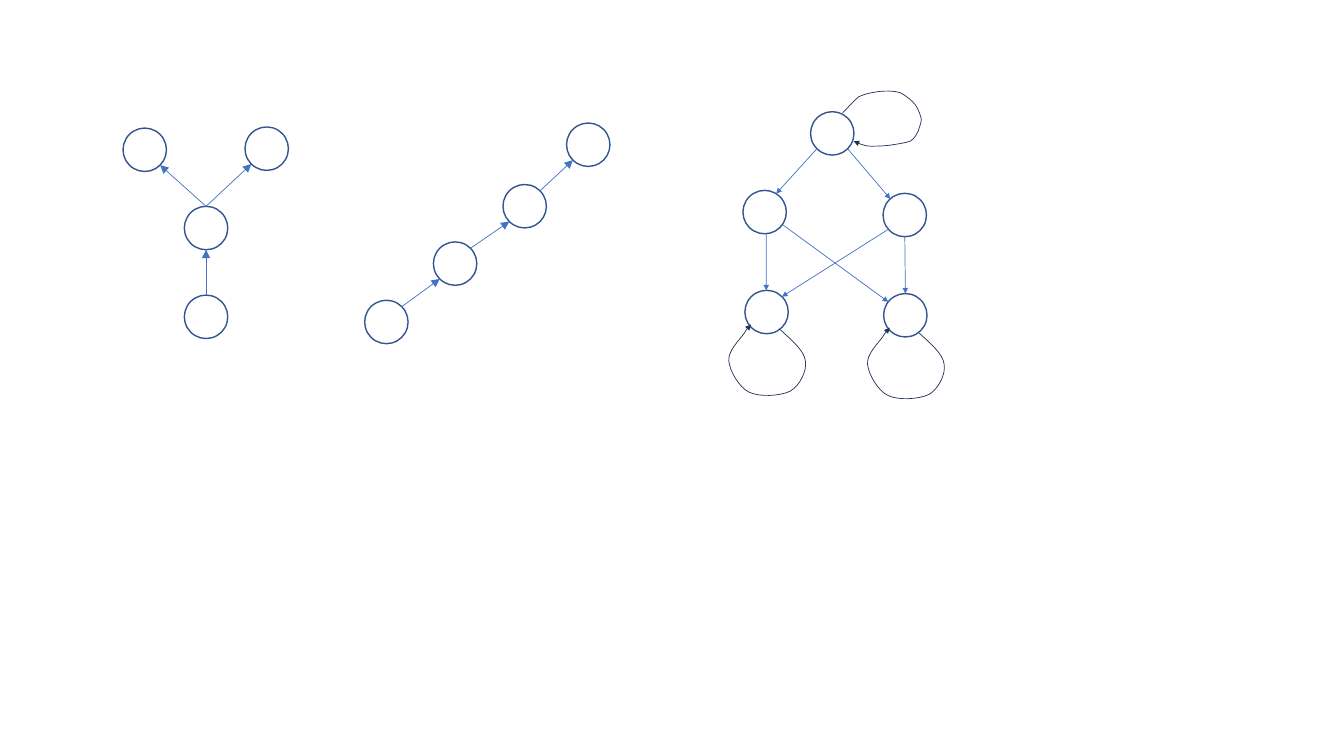
from dataclasses import dataclass
from math import cos, radians, sin

from lxml.etree import SubElement
from pptx import Presentation
from pptx.dml.color import RGBColor
from pptx.enum.shapes import MSO_CONNECTOR, MSO_SHAPE
from pptx.oxml.ns import qn
from pptx.util import Pt


@dataclass(frozen=True)
class Theme:
    node_line: RGBColor = RGBColor(0x32, 0x54, 0x91)
    arrow_line: RGBColor = RGBColor(0x44, 0x72, 0xC4)
    loop_line: RGBColor = RGBColor(0x1E, 0x32, 0x56)
    node_width: float = 1
    arrow_width: float = 0.5
    diameter: float = 31


THEME = Theme()

# Graphs: node centres, then arrows as (from, angle, to, angle), counterclockwise from right
FORK_NODES = {
    "left": (103.4, 107), "right": (190.5, 106.2),
    "middle": (147.2, 162.9), "root": (147.2, 226.3),
}
FORK_ARROWS = [
    ("root", 90, "middle", 270),
    ("middle", 90, "left", 315),
    ("middle", 90, "right", 225),
]
CHAIN_NODES = {
    "fourth": (420.2, 103.4), "third": (374.8, 147.3),
    "second": (325.1, 188.3), "first": (276, 230),
}
CHAIN_ARROWS = [
    ("third", 45, "fourth", 225),
    ("second", 45, "third", 225),
    ("first", 45, "second", 225),
]
CYCLE_NODES = {
    "top": (594.5, 95.3),
    "left": (546.2, 151.5), "right": (646.3, 153.6),
    "bottom left": (547.6, 222.9), "bottom right": (646.7, 225.2),
}
CYCLE_ARROWS = [
    ("top", 225, "left", 58),
    ("top", 315, "right", 132),
    ("left", 274, "bottom left", 91),
    ("right", 270, "bottom right", 90),
    ("left", 325, "bottom right", 142),
    ("right", 221, "bottom left", 45),
]

# Loops: a start point, then three Bezier points per curve, from the node centre
LOWER_LOOP = [
    (9.7, 12.5),
    (18.3, 20.5), (27, 27.7), (27.7, 34.9),
    (29.1, 42.1), (23.4, 52.9), (16.9, 56.5),
    (9.7, 60.1), (-5.4, 60.8), (-12.6, 57.2),
    (-19.8, 53.6), (-26.3, 42.1), (-27, 34.9),
    (-27.8, 27.7), (-19.1, 19.7), (-16.2, 15.4),
    (-14.1, 12.1), (-12.6, 10.3), (-11.2, 8.9),
]
UPPER_LOOP = [
    (7.4, -14.7),
    (11.7, -19), (15.3, -23.3), (18.9, -26.2),
    (23.3, -28.3), (27.6, -29.1), (32.6, -29.8),
    (37.7, -30.5), (44.1, -30.5), (48.5, -29.1),
    (52.8, -26.9), (57.1, -23.3), (59.3, -20.4),
    (61.4, -17.5), (62.9, -13.2), (63.6, -10.3),
    (63.6, -7.5), (62.1, -4.6), (61.4, -1.7),
    (60, 0.5), (59.3, 3.3), (55.7, 5.5),
    (52.1, 6.9), (45.6, 7.7), (41.3, 8.4),
    (36.2, 9.1), (30.5, 9.1), (27.6, 9.1),
    (24, 9.1), (22.5, 8.4), (20.4, 7.7),
    (18.2, 6.9), (16.8, 6.2), (15.3, 5.5),
]
CYCLE_LOOPS = {
    "top": UPPER_LOOP, "bottom left": LOWER_LOOP, "bottom right": LOWER_LOOP,
}


def style_line(line, color, width, head=None):
    line.color.rgb = color
    line.width = Pt(width)
    if head:
        SubElement(line._get_or_add_ln(), qn("a:tailEnd"),
                   type="triangle", w=head, len=head)


def add_node(group, center):
    size = THEME.diameter
    left, top = (Pt(value - size / 2) for value in center)
    node = group.shapes.add_shape(MSO_SHAPE.OVAL, left, top, Pt(size), Pt(size))
    node.shadow.inherit = False
    node.fill.background()
    style_line(node.line, THEME.node_line, THEME.node_width)


def rim_point(center, angle):
    radius, turn = THEME.diameter / 2, radians(angle)
    return Pt(center[0] + radius * cos(turn)), Pt(center[1] - radius * sin(turn))


def add_arrow(group, start, end, head):
    arrow = group.shapes.add_connector(MSO_CONNECTOR.STRAIGHT, *start, *end)
    style_line(arrow.line, THEME.arrow_line, THEME.arrow_width, head)
    SubElement(arrow._element.spPr, qn("a:effectLst"))


def add_loop(group, center, offsets, head):
    points = [(Pt(center[0] + x), Pt(center[1] + y)) for x, y in offsets]
    builder = group.shapes.build_freeform(*points[0], scale=1.0)
    builder.add_line_segments(points[1:], close=False)
    loop = builder.convert_to_shape()
    loop.shadow.inherit = False
    loop.fill.background()
    style_line(loop.line, THEME.loop_line, THEME.arrow_width, head)
    # Join each three segments into one Bezier curve
    segments = list(loop._element.iter(qn("a:lnTo")))
    outline = segments[0].getparent()
    for first in range(0, len(segments), 3):
        curve = SubElement(outline, qn("a:cubicBezTo"))
        for segment in segments[first:first + 3]:
            curve.append(segment[0])
            outline.remove(segment)


def add_graph(page, nodes, arrows, loops=None, head="med"):
    group = page.shapes.add_group_shape()
    for center in nodes.values():
        add_node(group, center)
    for source, leave, target, arrive in arrows:
        add_arrow(group, rim_point(nodes[source], leave),
                  rim_point(nodes[target], arrive), head)
    for name, offsets in (loops or {}).items():
        add_loop(group, nodes[name], offsets, head)


def main():
    deck = Presentation()
    deck.slide_width, deck.slide_height = Pt(960), Pt(540)
    page = deck.slides.add_slide(deck.slide_layouts[6])
    add_graph(page, FORK_NODES, FORK_ARROWS)
    add_graph(page, CHAIN_NODES, CHAIN_ARROWS)
    add_graph(page, CYCLE_NODES, CYCLE_ARROWS, CYCLE_LOOPS, head="sm")
    deck.save("out.pptx")


if __name__ == "__main__":
    main()
